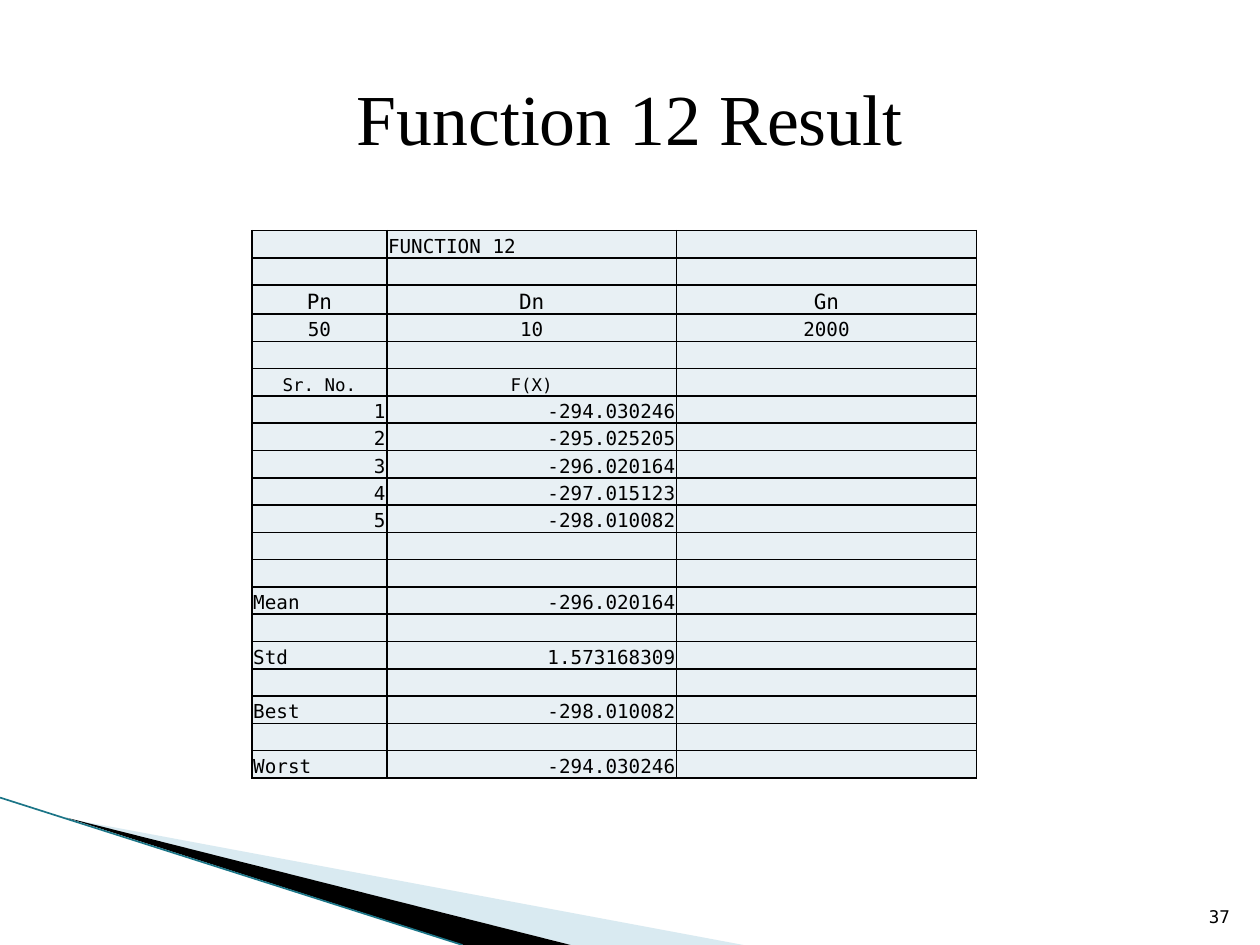
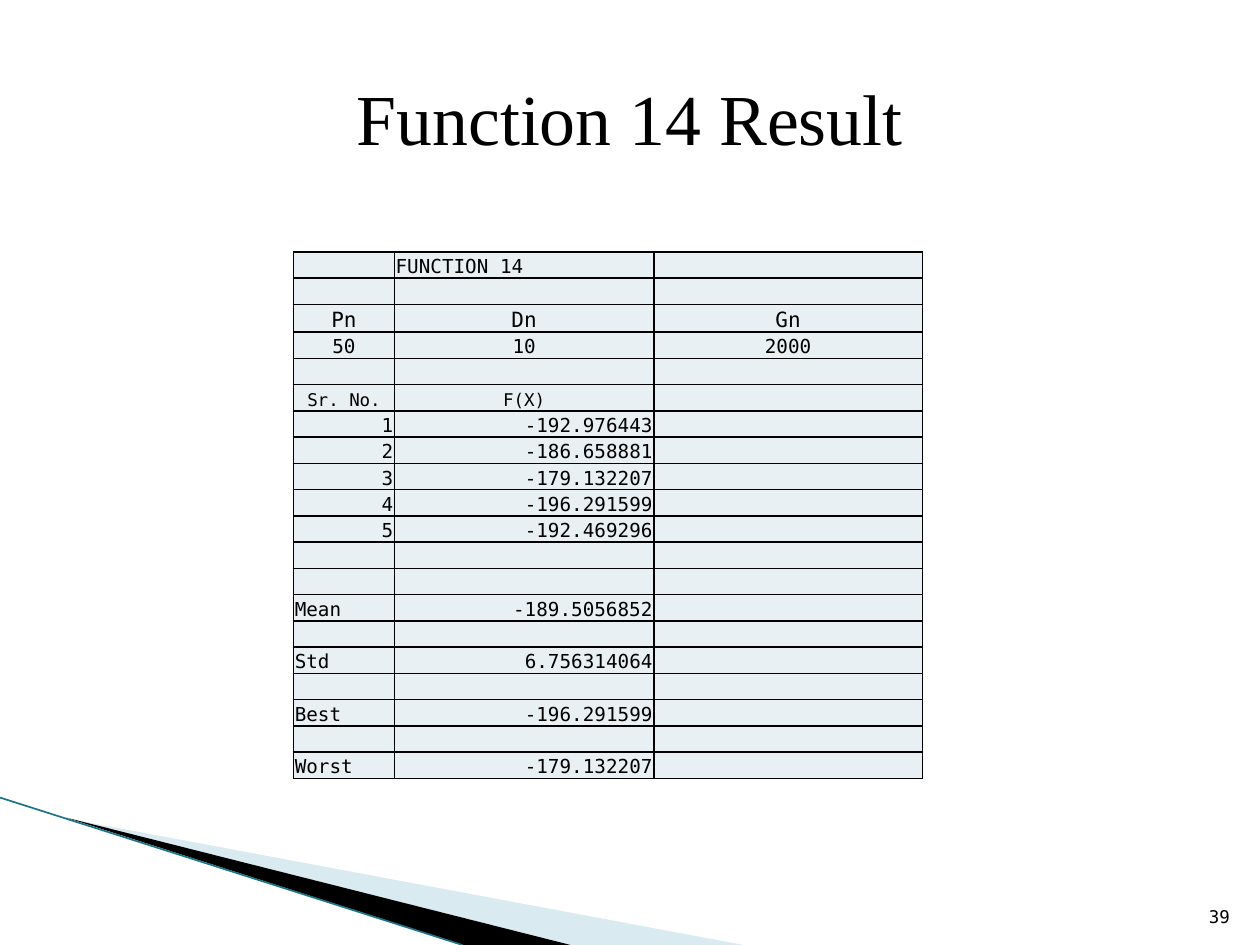
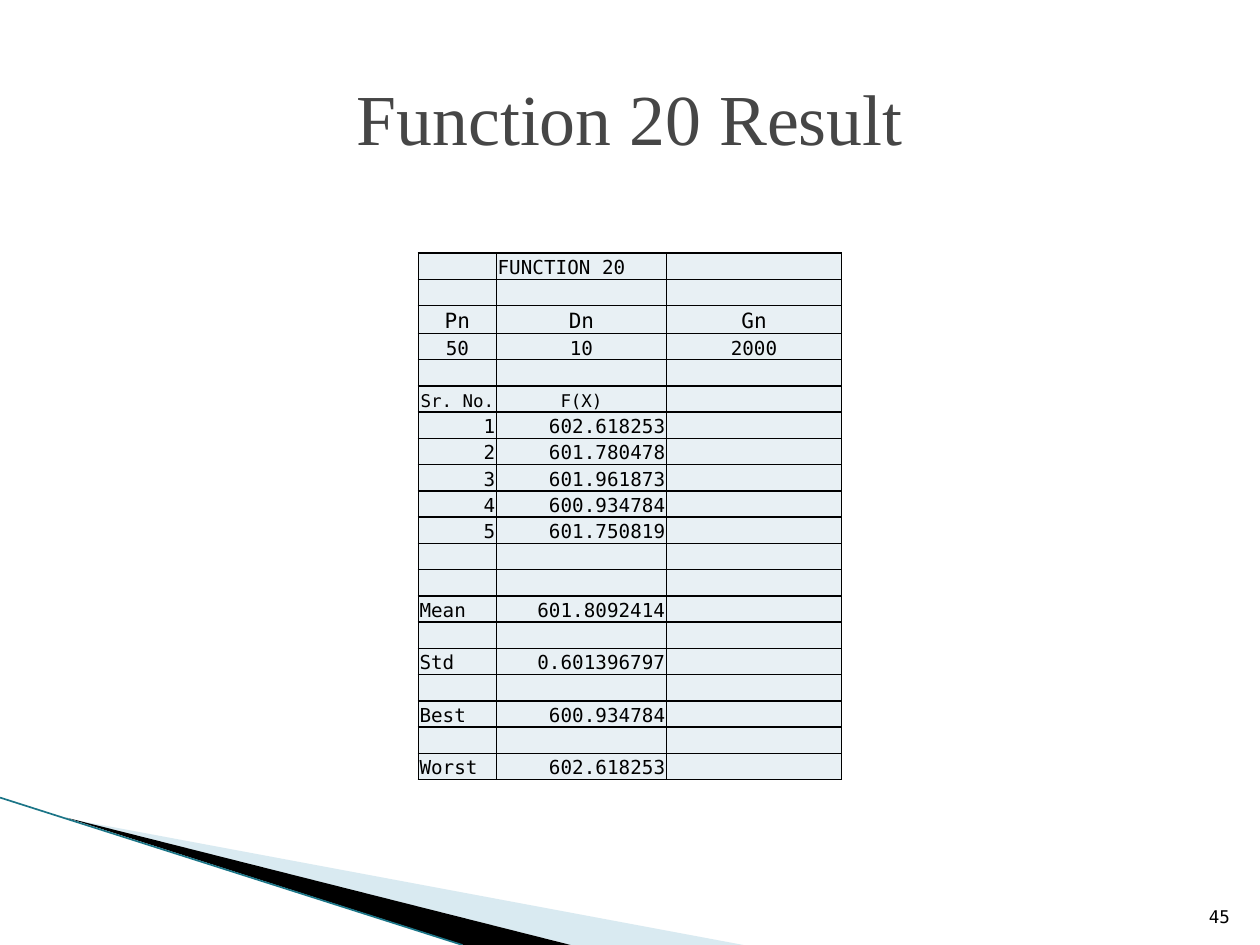
"""Build three slides that show the result tables of functions 12, 14 and 20."""
from lxml import etree
from pptx import Presentation
from pptx import util as u
from pptx.dml.color import RGBColor
from pptx.enum import shapes, text
from pptx.oxml.ns import qn

MONO, SERIF = "DejaVu Sans Mono", "Times New Roman"
BLACK, GREY, CELL, PALE, TEAL = "000000", "464646", "E8F0F4", "A0CBDC", "1B7587"
LEFT, CENTER, RIGHT = text.PP_ALIGN.LEFT, text.PP_ALIGN.CENTER, text.PP_ALIGN.RIGHT
BOTTOM, MIDDLE = text.MSO_ANCHOR.BOTTOM, text.MSO_ANCHOR.MIDDLE
WEDGES = [
    (PALE, 40, [(0.55, 6.5), (5.9, 7.5), (4.53, 7.5)]),
    (BLACK, 100, [(0.53, 6.49), (4.53, 7.5), (3.68, 7.5)]),
]
RESULTS = [
    (12, 37, BLACK, (2, 1.83), [1.07, 2.3, 2.38], 4.35, 0.23,
     ["-294.030246", "-295.025205", "-296.020164", "-297.015123", "-298.010082"],
     ["-296.020164", "1.573168309", "-298.010082", "-294.030246"]),
    (14, 39, BLACK, (2.33, 2), [0.8, 2.06, 2.13], 4.18, 0.22,
     ["-192.976443", "-186.658881", "-179.132207", "-196.291599", "-192.469296"],
     ["-189.5056852", "6.756314064", "-196.291599", "-179.132207"]),
    (20, 45, GREY, (3.32, 2.01), [0.62, 1.35, 1.39], 4.18, 0.22,
     ["602.618253", "601.780478", "601.961873", "600.934784", "601.750819"],
     ["601.8092414", "0.601396797", "600.934784", "602.618253"]),
]


def rgb(value):
    return RGBColor.from_string(value)


def write(tf, content, size=11, font=MONO, color=BLACK, align=LEFT):
    p = tf.paragraphs[0]
    p.alignment = align
    if not content:
        etree.SubElement(p._p, qn("a:endParaRPr"), sz=str(size * 100))
        return
    r = p.add_run()
    r.text = content
    r.font.size = u.Pt(size)
    r.font.name = font
    r.font.color.rgb = rgb(color)


prs = Presentation()
prs.slide_width, prs.slide_height = u.Inches(10), u.Inches(7.5)

for number, page, title_color, (left, top), widths, height, head_height, values, stats in RESULTS:
    s = prs.slides.add_slide(prs.slide_layouts[5])

    for color, alpha, points in WEDGES:
        corners = [(u.Inches(x), u.Inches(y)) for x, y in points]
        builder = s.shapes.build_freeform(*corners[0])
        builder.add_line_segments(corners[1:])
        sp = builder.convert_to_shape()
        sp.shadow.inherit = False
        sp.line.fill.background()
        sp.fill.solid()
        sp.fill.fore_color.rgb = rgb(color)
        if alpha < 100:
            fill_color = sp._element.spPr.find(".//" + qn("a:srgbClr"))
            etree.SubElement(fill_color, qn("a:alpha"), val=str(alpha * 1000))

    edge = s.shapes.add_connector(shapes.MSO_CONNECTOR.STRAIGHT, 0, u.Inches(6.33),
                                  u.Inches(3.67), u.Inches(7.5))
    edge.line.color.rgb = rgb(TEAL)
    edge.line.width = u.Pt(0.95)
    etree.SubElement(edge._element.spPr, qn("a:effectLst"))

    page_box = s.shapes.add_textbox(u.Inches(9.46), u.Inches(7.01), u.Inches(0.4), u.Inches(0.4))
    page_box.text_frame.word_wrap = True
    page_box.text_frame.vertical_anchor = BOTTOM
    write(page_box.text_frame, str(page), size=10, align=RIGHT)

    title = s.shapes.title
    title.left, title.top = u.Inches(0.5), u.Inches(0.3)
    title.width, title.height = u.Inches(9), u.Inches(1.25)
    title.text_frame.vertical_anchor = MIDDLE
    write(title.text_frame, f"Function {number} Result", size=41, font=SERIF,
          color=title_color, align=CENTER)

    blank = ("", "", "")
    rows = [
        (("", f"FUNCTION {number}", ""), 11, (LEFT, LEFT, LEFT)),
        (blank, 11, (LEFT, LEFT, LEFT)),
        (("Pn", "Dn", "Gn"), 12, (CENTER, CENTER, CENTER)),
        (("50", "10", "2000"), 11, (CENTER, CENTER, CENTER)),
        (blank, 11, (LEFT, LEFT, LEFT)),
        (("Sr. No.", "F(X)", ""), 10, (CENTER, CENTER, LEFT)),
    ]
    for i, value in enumerate(values, 1):
        rows.append(((str(i), value, ""), 11, (RIGHT, RIGHT, LEFT)))
    rows.append((blank, 11, (LEFT, LEFT, LEFT)))
    for name, value in zip(("Mean", "Std", "Best", "Worst"), stats):
        rows.append((blank, 11, (LEFT, LEFT, LEFT)))
        rows.append(((name, value, ""), 11, (LEFT, RIGHT, LEFT)))

    table = s.shapes.add_table(len(rows), len(widths), u.Inches(left), u.Inches(top),
                               u.Inches(sum(widths)), u.Inches(height)).table
    table.first_row = table.horz_banding = False
    for column, width in zip(table.columns, widths):
        column.width = u.Inches(width)
    row_height = (height - head_height) / (len(rows) - 1)
    for i, (contents, size, aligns) in enumerate(rows):
        table.rows[i].height = u.Inches(head_height if contents[0] == "Pn" else row_height)
        for j, content in enumerate(contents):
            cell = table.cell(i, j)
            cell.margin_left = cell.margin_right = cell.margin_top = u.Inches(0.01)
            cell.margin_bottom = 0
            cell.vertical_anchor = BOTTOM
            for side in ("a:lnL", "a:lnR", "a:lnT", "a:lnB"):
                ln = etree.SubElement(cell._tc.get_or_add_tcPr(), qn(side), w=str(u.Pt(1)))
                etree.SubElement(etree.SubElement(ln, qn("a:solidFill")),
                                 qn("a:srgbClr"), val=BLACK)
            cell.fill.solid()
            cell.fill.fore_color.rgb = rgb(CELL)
            write(cell.text_frame, content, size=size, align=aligns[j])

prs.save("out.pptx")
